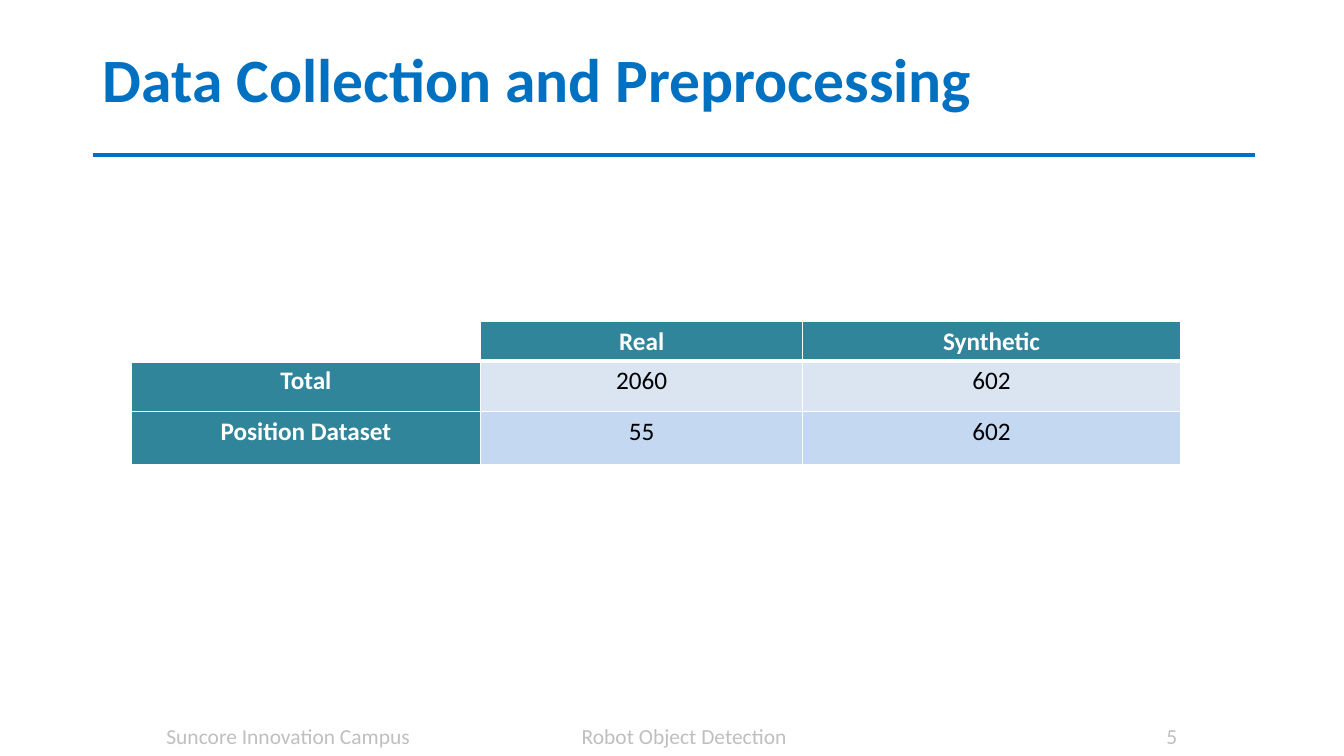
from dataclasses import dataclass
from lxml.etree import SubElement
from pptx import Presentation
from pptx.dml.color import RGBColor
from pptx.enum.shapes import MSO_CONNECTOR, MSO_SHAPE
from pptx.enum.text import MSO_ANCHOR, MSO_AUTO_SIZE, PP_ALIGN
from pptx.oxml import parse_xml
from pptx.oxml.ns import nsdecls, qn
from pptx.util import Emu, Inches, Pt

SLIDE_W, SLIDE_H = Inches(13.33), Inches(7.5)


@dataclass(frozen=True)
class Theme:
    font: str = "Calibri"
    blue: str = "0070C0"
    teal: str = "31859B"
    white: str = "FFFFFF"
    black: str = "000000"
    grey: str = "BFBFBF"
    bands: tuple[str, ...] = ("DAE5F1", "C5D8F1")
    title_size: float = 44
    table_size: float = 18
    footer_size: float = 15.3
    thin: float = 0.96
    thick: float = 3


@dataclass(frozen=True)
class TableRow:
    height: float
    label: str
    values: tuple[str, str]


THEME = Theme()
COLUMNS = (26.03, 23.93, 28.13)
ROWS = (
    TableRow(5.2, "", ("Real", "Synthetic")),
    TableRow(6.67, "Total", ("2060", "602")),
    TableRow(7.07, "Position Dataset", ("55", "602")),
)
FOOTER = ("Suncore Innovation Campus", "Robot Object Detection", "5")
FOOTER_LEFT = 12.38
FOOTER_TABS = (30.9, 74.4)


# Grid of 100 columns by 100 rows over the slide
def col(n: float) -> Emu:
    return Emu(round(SLIDE_W * n / 100))


def row(n: float) -> Emu:
    return Emu(round(SLIDE_H * n / 100))


def style(p, size: float, color: str, bold: bool, align: PP_ALIGN) -> None:
    p.alignment = align
    for r in p.runs:
        r.font.name = THEME.font
        r.font.size = Pt(size)
        r.font.bold = bold
        r.font.color.rgb = RGBColor.from_string(color)


def add_title(s, text: str) -> None:
    sp = s.shapes.title
    sp.left, sp.top, sp.width, sp.height = col(6.9), row(1.2), col(86.25), row(19.33)
    tf = sp.text_frame
    tf.text = text
    tf.auto_size = MSO_AUTO_SIZE.NONE
    tf.vertical_anchor = MSO_ANCHOR.MIDDLE
    p = tf.paragraphs[0]
    p.line_spacing = 0.9
    style(p, THEME.title_size, THEME.blue, True, PP_ALIGN.LEFT)


def add_rule(s) -> None:
    rule = s.shapes.add_connector(
        MSO_CONNECTOR.STRAIGHT, col(6.9), row(20.53), col(93.4), row(20.53))
    rule.line.color.rgb = RGBColor.from_string(THEME.blue)
    rule.line.width = Pt(THEME.thick)
    SubElement(rule._element.spPr, qn("a:effectLst"))


def set_borders(cell, top: float, bottom: float) -> None:
    widths = {"lnL": THEME.thin, "lnR": THEME.thin, "lnT": top, "lnB": bottom}
    tc_pr = cell._tc.get_or_add_tcPr()
    for i, (side, width) in enumerate(widths.items()):
        tc_pr.insert(i, parse_xml(
            f'<a:{side} {nsdecls("a")} w="{Pt(width)}"><a:solidFill>'
            f'<a:srgbClr val="{THEME.white}"/></a:solidFill></a:{side}>'))


def add_data_table(s) -> None:
    heights = [line.height for line in ROWS]
    table = s.shapes.add_table(
        len(ROWS), len(COLUMNS), col(9.75), row(42.53),
        col(sum(COLUMNS)), row(sum(heights))).table
    table.horz_banding = False
    for column, width in zip(table.columns, COLUMNS):
        column.width = col(width)
    for i, line in enumerate(ROWS):
        table.rows[i].height = row(line.height)
        for j, text in enumerate((line.label, *line.values)):
            cell = table.cell(i, j)
            header = i == 0 or j == 0
            cell.margin_bottom = Inches(0.03)
            cell.text = text
            if text:
                fill = THEME.teal if header else THEME.bands[i - 1]
                cell.fill.solid()
                cell.fill.fore_color.rgb = RGBColor.from_string(fill)
            else:
                cell.fill.background()
            style(cell.text_frame.paragraphs[0], THEME.table_size,
                  THEME.white if header else THEME.black, header, PP_ALIGN.CENTER)
            set_borders(cell, THEME.thick if i == 1 else THEME.thin,
                        THEME.thick if i == 0 else THEME.thin)


def add_footer(s) -> None:
    sp = s.shapes.add_shape(MSO_SHAPE.RECTANGLE, 0, row(92.27), SLIDE_W, row(7.47))
    sp.shadow.inherit = False
    sp.fill.background()
    sp.line.color.rgb = RGBColor.from_string(THEME.white)
    sp.line.width = Pt(0.75)
    tf = sp.text_frame
    tf.word_wrap = True
    tf.vertical_anchor = MSO_ANCHOR.BOTTOM
    tf.margin_left = col(FOOTER_LEFT)
    p = tf.paragraphs[0]
    p.text = "\t".join(FOOTER)
    tabs = SubElement(p._p.get_or_add_pPr(), qn("a:tabLst"))
    for stop in FOOTER_TABS:
        SubElement(tabs, qn("a:tab"), pos=str(col(stop)), algn="l")
    p.line_spacing = 0.9
    style(p, THEME.footer_size, THEME.grey, False, PP_ALIGN.LEFT)


def main() -> None:
    prs = Presentation()
    prs.slide_width, prs.slide_height = SLIDE_W, SLIDE_H
    s = prs.slides.add_slide(prs.slide_layouts[5])
    add_title(s, "Data Collection and Preprocessing")
    add_rule(s)
    add_data_table(s)
    add_footer(s)
    prs.save("out.pptx")


if __name__ == "__main__":
    main()
